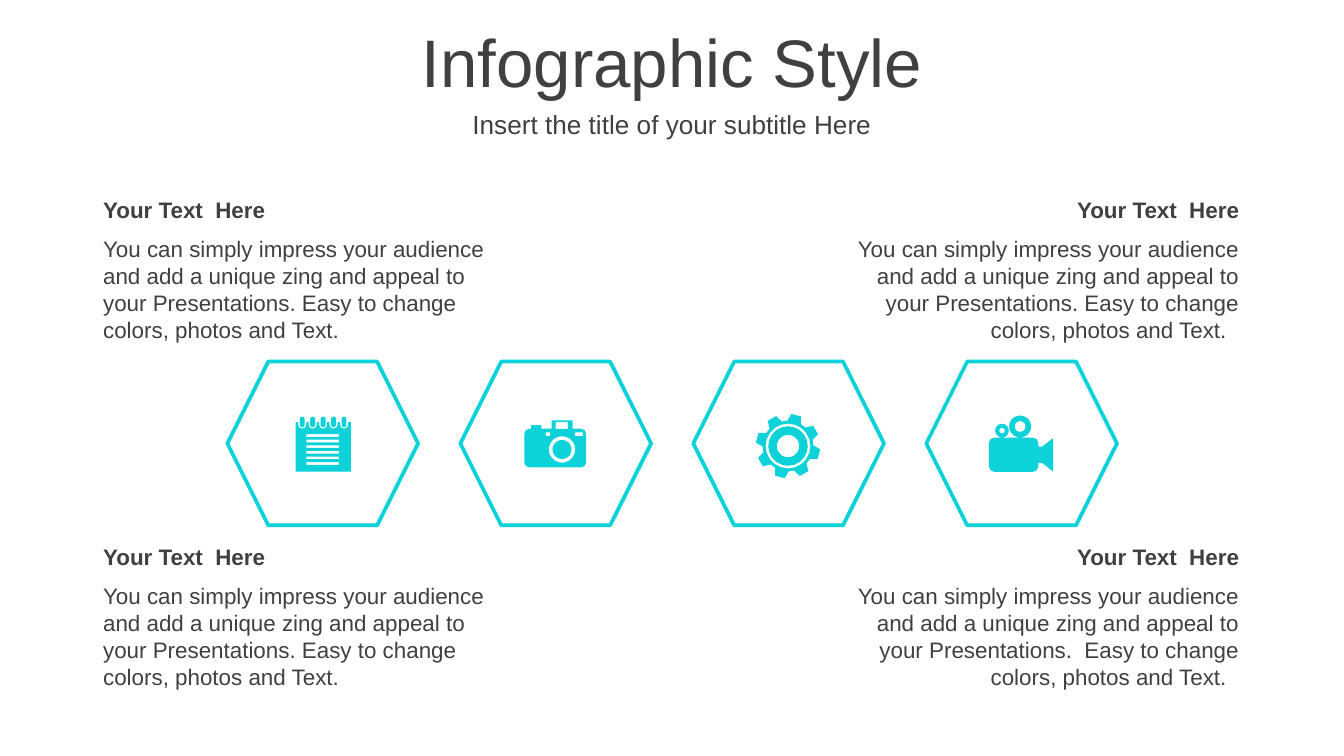
from dataclasses import dataclass
from math import cos, radians, sin

from pptx import Presentation
from pptx.dml.color import RGBColor
from pptx.enum import shapes, text
from pptx.util import Pt


@dataclass(frozen=True)
class Theme:
    font: str = "Arial"
    ink: RGBColor = RGBColor(0x40, 0x40, 0x40)
    accent: RGBColor = RGBColor(0x0D, 0xD2, 0xD9)
    paper: RGBColor = RGBColor(0xFF, 0xFF, 0xFF)
    title: int = 36
    subtitle: int = 14
    body: int = 12


THEME = Theme()
LEFT, CENTER, RIGHT = text.PP_ALIGN.LEFT, text.PP_ALIGN.CENTER, text.PP_ALIGN.RIGHT

TITLE = "Infographic Style"
SUBTITLE = "Insert the title of your subtitle Here"
HEADING = "Your Text  Here"
BODY = ("You can simply impress your audience and add a unique zing and appeal to "
        "your Presentations. Easy to change colors, photos and Text.")
# column, row, body text
BLOCKS = [
    (0, 0, BODY),
    (0, 1, BODY),
    (1, 0, BODY + "  "),
    (1, 1, BODY.replace("Presentations. ", "Presentations.  ") + "  "),
]
COLUMNS = [(48.2, 221, LEFT), (450.7, 220.3, RIGHT)]  # left, width, alignment
ROWS = [101.5, 287.3]
HEADING_HEIGHT, BODY_OFFSET, BODY_HEIGHT = 21.6, 20.7, 65.5

HEXAGON_LEFT, HEXAGON_TOP, HEXAGON_STEP = 121.8, 193.7, 124.8
HEXAGON_WIDTH, HEXAGON_HEIGHT = 102.2, 87.8


def arc(x, y, radius, start, end, steps=2):
    """Points on a circle, angles in degrees clockwise from the right."""
    angles = [radians(start + (end - start) * i / steps) for i in range(steps + 1)]
    return [(x + radius * cos(a), y + radius * sin(a)) for a in angles]


def circle(x, y, radius):
    return arc(x, y, radius, 0, 360, 20 if radius > 4 else 12)[:-1]


def box(left, top, right, bottom, radius=0):
    if not radius:
        return [(left, top), (right, top), (right, bottom), (left, bottom)]
    x1, x2, y1, y2 = left + radius, right - radius, top + radius, bottom - radius
    return (arc(x1, y1, radius, 180, 270) + arc(x2, y1, radius, 270, 360)
            + arc(x2, y2, radius, 0, 90) + arc(x1, y2, radius, 90, 180))


def notepad():
    rings = [3.5 + 5.6 * i for i in range(5)]
    page = [(0, 2.9)]
    for x in rings:
        page += [(x - 2.2, 2.9), *arc(x, 4.3, 2.2, 180, 0, 4), (x + 2.2, 2.9)]
    page += [(29.5, 2.9), (29.5, 29.5), (0, 29.5)]
    lines = [box(5.8, 9.4 + 3 * i, 23.2, 10.8 + 3 * i) for i in range(6)]
    return [page, *lines, *(box(x - 1.3, 0, x + 1.3, 5.7, 1.2) for x in rings)]


def camera():
    top = 4.5
    button = [(3.6, top), (3.6, 2.6), (9.2, 2.6), (9.2, top)]
    finder = [(14.6, top), (14.6, 0), (25.9, 0), (25.9, top)]
    corners = box(0, top, 33.1, 25.2, 2.7)
    body = corners[:3] + button + finder + corners[3:]
    return [body, circle(20.2, 15.6, 7.1), circle(20.2, 15.6, 5.1),
            box(11.5, 6.5, 13.9, 8.3), box(27.2, 6.5, 31.4, 8.5),
            box(16.8, 1, 23.4, 4.6)]


def gear():
    x, y = 16.8, 17.2
    tooth = [(13.6, -1.5), (17.3, 6), (17.3, 23.5), (13.6, 30.7)]  # radius, angle
    rim = [(x + r * sin(radians(a + turn)), y - r * cos(radians(a + turn)))
           for turn in range(0, 360, 45) for r, a in tooth]
    return [rim, *(circle(x, y, r) for r in (12, 10.6, 6))]


def video_camera():
    lens = [(26.6, 16.7), (28.6, 16.7), (34.5, 12.1),
            (34.5, 30.1), (28.6, 25.4), (26.6, 25.4)]
    return [box(0, 11.8, 26.6, 30.2, 3), lens,
            circle(7.1, 8.1, 3.7), circle(7.1, 8.1, 1.5),
            circle(16.8, 5.9, 5.9), circle(16.8, 5.9, 2.9)]


# outline, left, top
ICONS = [
    (notepad(), 158.4, 223.2),
    (camera(), 280.9, 225.2),
    (gear(), 405.4, 221.8),
    (video_camera(), 529.7, 222.6),
]


def place(shape, left, top, width, height):
    shape.left, shape.top, shape.width, shape.height = map(Pt, (left, top, width, height))


def write(shape, words, size, alignment, bold=False):
    frame = shape.text_frame
    frame.text = words
    frame.word_wrap = True
    frame.auto_size = text.MSO_AUTO_SIZE.NONE
    frame.vertical_anchor = text.MSO_ANCHOR.MIDDLE
    paragraph = frame.paragraphs[0]
    paragraph.alignment = alignment
    font = paragraph.font
    font.name, font.size, font.bold = THEME.font, Pt(size), bold
    font.color.rgb = THEME.ink


def add_text(slide, frame, *style):
    write(slide.shapes.add_textbox(*map(Pt, frame)), *style)


def add_hexagon(slide, index):
    shape = slide.shapes.add_shape(
        shapes.MSO_SHAPE.HEXAGON, Pt(HEXAGON_LEFT + HEXAGON_STEP * index),
        Pt(HEXAGON_TOP), Pt(HEXAGON_WIDTH), Pt(HEXAGON_HEIGHT))
    shape.shadow.inherit = False
    shape.fill.solid()
    shape.fill.fore_color.rgb = THEME.paper
    shape.line.color.rgb = THEME.accent
    shape.line.width = Pt(2)


def add_icon(slide, contours, left, top):
    """Draw nested contours as one shape, inner ones cutting holes."""
    grid = 100  # outline steps per point
    scaled = [[(x * grid, y * grid) for x, y in contour] for contour in contours]
    builder = slide.shapes.build_freeform(*scaled[0][0], scale=Pt(1) / grid)
    for number, contour in enumerate(scaled):
        if number:
            builder.move_to(*contour[0])
        builder.add_line_segments(contour[1:], close=True)
    shape = builder.convert_to_shape(Pt(left), Pt(top))
    shape.shadow.inherit = False
    shape.fill.solid()
    shape.fill.fore_color.rgb = THEME.accent
    shape.line.fill.background()


def main():
    presentation = Presentation()
    presentation.slide_width, presentation.slide_height = Pt(720), Pt(405)
    slide = presentation.slides.add_slide(presentation.slide_layouts[5])

    place(slide.shapes.title, 0, 10, 720, 45.4)
    write(slide.shapes.title, TITLE, THEME.title, CENTER)
    add_text(slide, (0, 55.4, 720, 22.4), SUBTITLE, THEME.subtitle, CENTER)

    for index in range(len(ICONS)):
        add_hexagon(slide, index)
    for column, row, body in BLOCKS:
        left, width, alignment = COLUMNS[column]
        top = ROWS[row]
        add_text(slide, (left, top + BODY_OFFSET, width, BODY_HEIGHT),
                 body, THEME.body, alignment)
        add_text(slide, (left, top, width, HEADING_HEIGHT),
                 HEADING, THEME.body, alignment, True)
    for icon in ICONS:
        add_icon(slide, *icon)

    presentation.save("out.pptx")


if __name__ == "__main__":
    main()
